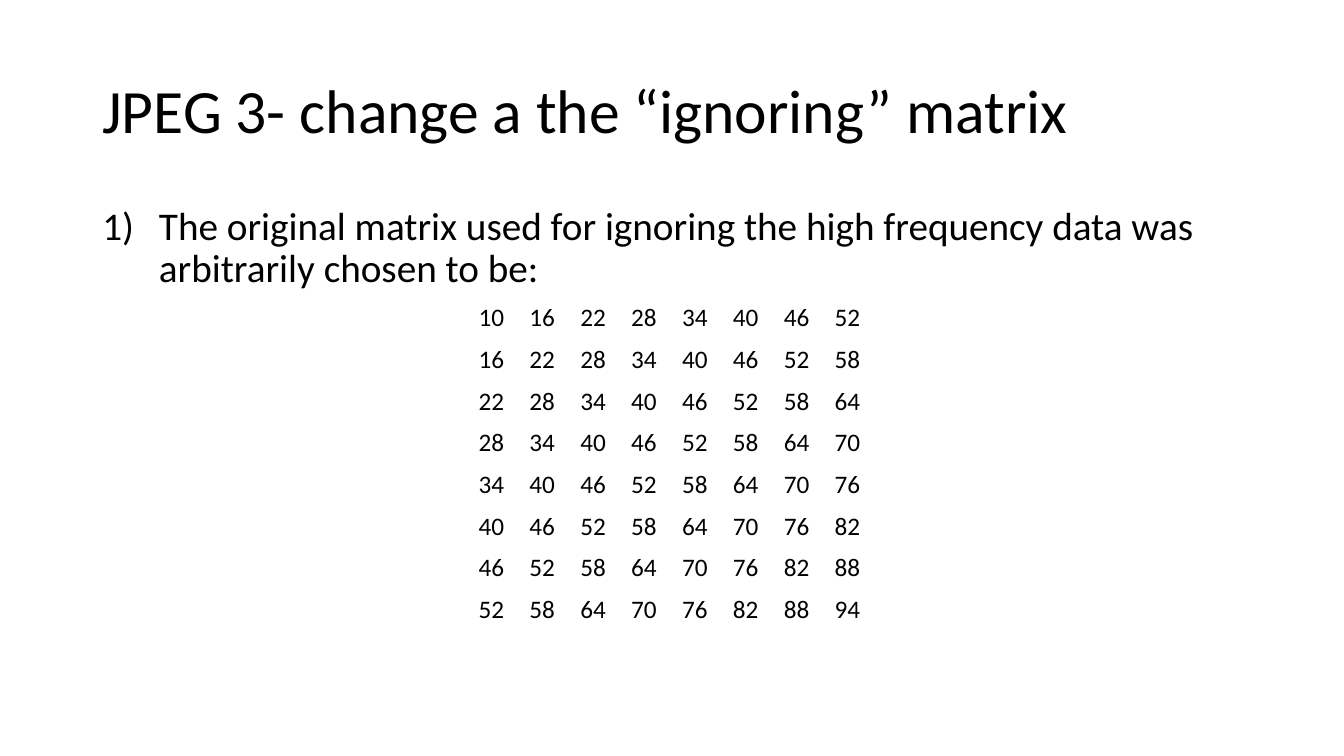
import pptx
import pptx.dml.color
import pptx.enum.text
import pptx.oxml
import pptx.util
from dataclasses import dataclass

Pt = pptx.util.Pt

TITLE = "JPEG 3- change a the “ignoring” matrix"
STATEMENT = ("The original matrix used for ignoring the high frequency data was "
             "arbitrarily chosen to be:")
MATRIX_SIZE, FIRST_VALUE, VALUE_STEP = 8, 10, 6
MATRIX = [[FIRST_VALUE + VALUE_STEP * (row + column) for column in range(MATRIX_SIZE)]
          for row in range(MATRIX_SIZE)]


@dataclass(frozen=True)
class Theme:
    font: str = "Calibri"
    ink: str = "000000"
    title_size: float = 44
    body_size: float = 28
    cell_size: float = 18
    line_spacing: float = 0.9


THEME = Theme()
SLIDE_WIDTH, SLIDE_HEIGHT = 960, 540
TITLE_AREA = (66, 28.75, 828, 104.4)
BODY_AREA = (66, 143.75, 828, 342.6)
MATRIX_LEFT, MATRIX_TOP = 334.6, 212.6
COLUMN_WIDTH, ROW_HEIGHT = 36.36, 29.8
NUMBER_INDENT = 40.5


def add_span(para, text, size):
    span = para.add_run()
    span.text = text
    span.font.name = THEME.font
    span.font.size = Pt(size)
    span.font.color.rgb = pptx.dml.color.RGBColor.from_string(THEME.ink)


def add_text(page, area, text, size, anchor):
    box = page.shapes.add_textbox(*map(Pt, area))
    box.text_frame.word_wrap = True
    box.text_frame.vertical_anchor = anchor
    para = box.text_frame.paragraphs[0]
    para.line_spacing = THEME.line_spacing
    add_span(para, text, size)
    return para


def number_paragraph(para):
    properties = para._p.get_or_add_pPr()
    properties.set("marL", str(Pt(NUMBER_INDENT)))
    properties.set("indent", str(-Pt(NUMBER_INDENT)))
    for tag, name, value in (("buFont", "typeface", THEME.font),
                             ("buAutoNum", "type", "arabicParenR")):
        bullet = pptx.oxml.parse_xml(
            f'<a:{tag} xmlns:a="http://schemas.openxmlformats.org/drawingml/2006/main"/>')
        bullet.set(name, value)
        properties.append(bullet)


def add_matrix(page, values):
    table = page.shapes.add_table(
        len(values), len(values[0]), Pt(MATRIX_LEFT), Pt(MATRIX_TOP),
        Pt(COLUMN_WIDTH * len(values[0])), Pt(ROW_HEIGHT * len(values))).table
    table.first_row = False
    table.horz_banding = False
    for column in table.columns:
        column.width = Pt(COLUMN_WIDTH)
    for row, row_values in zip(table.rows, values):
        row.height = Pt(ROW_HEIGHT)
        for cell, value in zip(row.cells, row_values):
            cell.fill.background()
            add_span(cell.text_frame.paragraphs[0], str(value), THEME.cell_size)


deck = pptx.Presentation()
deck.slide_width, deck.slide_height = Pt(SLIDE_WIDTH), Pt(SLIDE_HEIGHT)
page = deck.slides.add_slide(deck.slide_layouts[6])

anchors = pptx.enum.text.MSO_ANCHOR
add_text(page, TITLE_AREA, TITLE, THEME.title_size, anchors.MIDDLE)
statement = add_text(page, BODY_AREA, STATEMENT, THEME.body_size, anchors.TOP)
statement.space_before = Pt(10)
number_paragraph(statement)
add_matrix(page, MATRIX)

deck.save("out.pptx")
